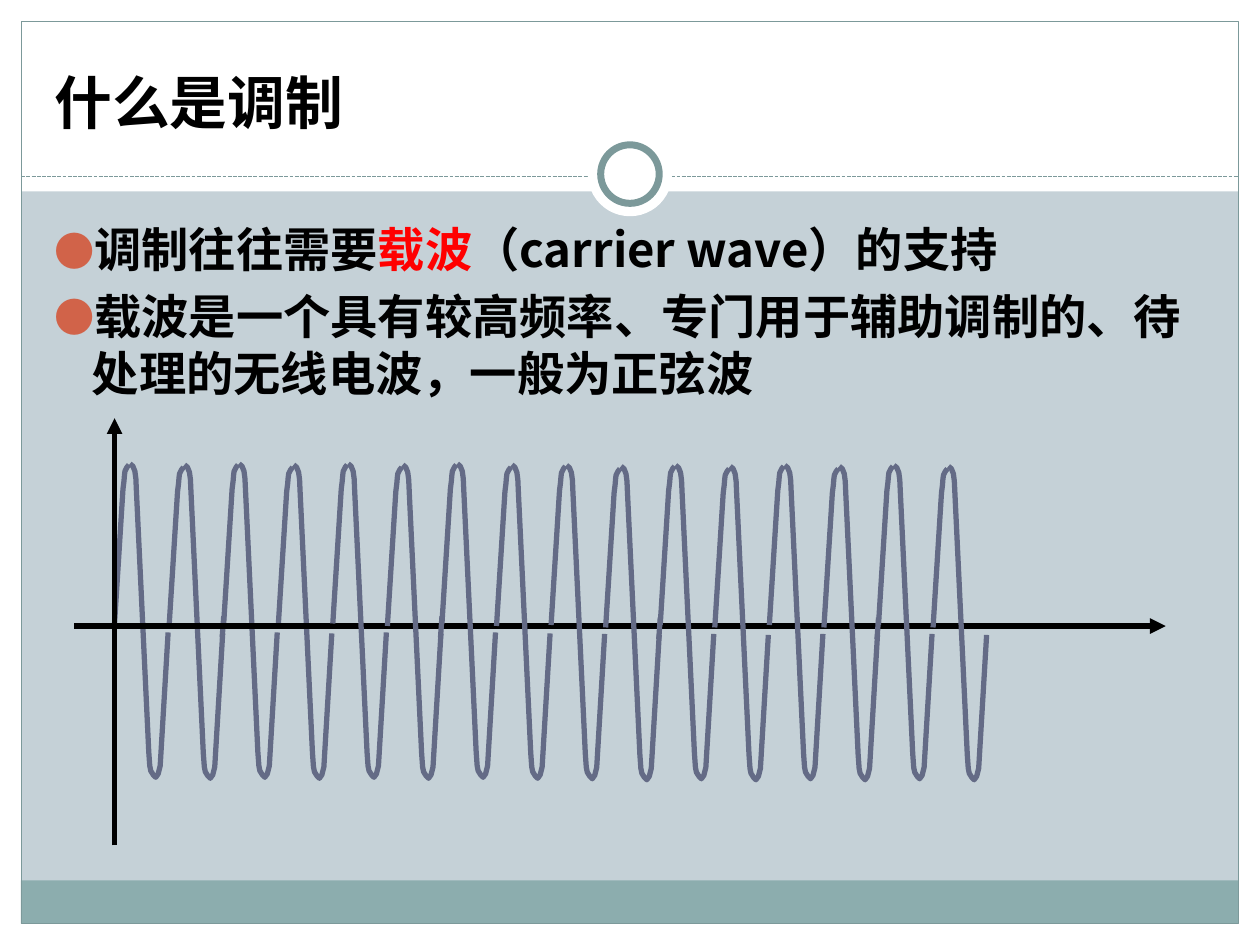
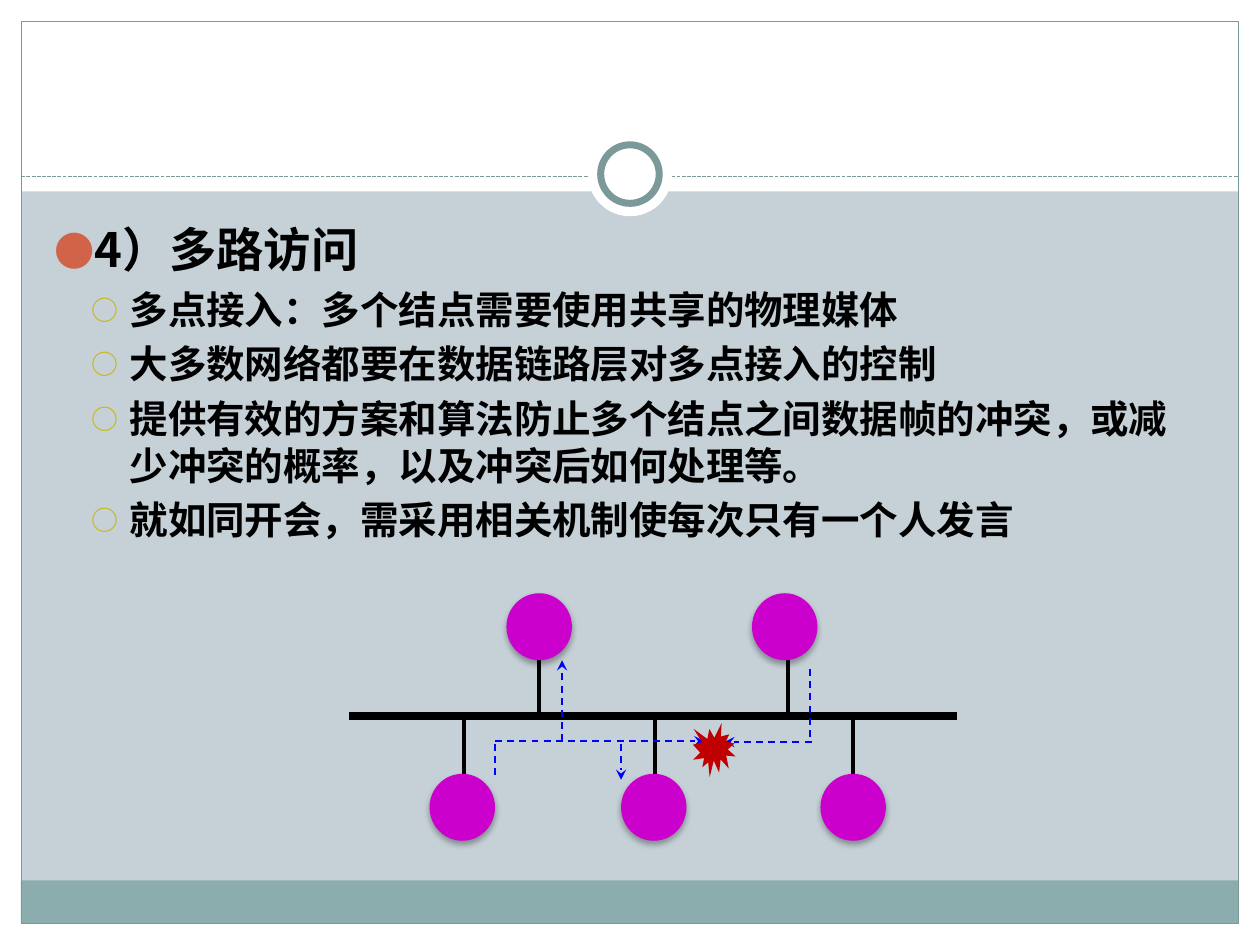
from lxml.etree import SubElement
from pptx import Presentation
from pptx.dml.color import RGBColor
from pptx.enum.dml import MSO_LINE
from pptx.enum.shapes import MSO_CONNECTOR, MSO_SHAPE
from pptx.enum.text import MSO_ANCHOR, MSO_AUTO_SIZE, PP_ALIGN
from pptx.oxml.ns import qn
from pptx.util import Cm, Pt

FONT = "Noto Sans CJK SC"
BLACK = RGBColor(0x00, 0x00, 0x00)
WHITE = RGBColor(0xFF, 0xFF, 0xFF)
RED = RGBColor(0xFF, 0x00, 0x00)
BLUE = RGBColor(0x00, 0x00, 0xFF)
BACKGROUND = RGBColor(0xC5, 0xD1, 0xD7)
TEAL = RGBColor(0x8C, 0xAD, 0xAE)
DARK_TEAL = RGBColor(0x7C, 0x99, 0x9A)
WAVE = RGBColor(0x64, 0x6B, 0x86)
NODE = RGBColor(0xCC, 0x00, 0xCC)
CRASH = RGBColor(0xC0, 0x00, 0x00)

# Per list level: size, line height, space before, indent, bullet, its colour and percent
LEVELS = [
    (27, 32.6, 5.4, 0.76, "●", "D16349", 85),
    (22, 26.8, 4.4, 1.52, "○", "CCB400", 70),
]

# One carrier period: rising and falling stroke, in cm from the period's start
RISE = [(0, 12.57), (0.17, 9.86), (0.19, 9.7), (0.2, 9.58), (0.21, 9.5),
        (0.25, 9.42), (0.29, 9.37)]
FALL = [(0.31, 9.35), (0.37, 9.4), (0.41, 9.5), (0.43, 9.65), (0.44, 9.88),
        (0.69, 15.16), (0.71, 15.44), (0.73, 15.54), (0.78, 15.62),
        (0.83, 15.67), (0.88, 15.6), (0.92, 15.44), (1.08, 12.75)]
WAVE_LEFT, PERIOD = 2.31, 1.1


class Deck:
    def __init__(self):
        self.prs = Presentation()
        self.prs.slide_width, self.prs.slide_height = Cm(25.4), Cm(19.05)
        self.layout = self.prs.slide_layouts[1]
        self.s = None

    def new_slide(self):
        self.s = self.prs.slides.add_slide(self.layout)

    # Shapes and lines
    def shape(self, kind, x, y, w, h, fill=None, line=None, width=0.75):
        sp = self.s.shapes.add_shape(kind, Cm(x), Cm(y), Cm(w), Cm(h))
        return self.paint(sp, fill, line, width)

    def paint(self, sp, fill, line, width):
        sp.shadow.inherit = False
        if fill is None:
            sp.fill.background()
        else:
            sp.fill.solid()
            sp.fill.fore_color.rgb = fill
        if line is None:
            sp.line.fill.background()
        else:
            sp.line.color.rgb = line
            sp.line.width = Pt(width)
        return sp

    def line(self, x1, y1, x2, y2, color, width, dash=None, arrow=None):
        c = self.s.shapes.add_connector(
            MSO_CONNECTOR.STRAIGHT, Cm(x1), Cm(y1), Cm(x2), Cm(y2))
        c.line.color.rgb = color
        c.line.width = Pt(width)
        if dash:
            c.line.dash_style = dash
        if arrow:
            SubElement(c.line._get_or_add_ln(), qn("a:tailEnd"), type=arrow)
        SubElement(c._element.spPr, qn("a:effectLst"))
        return c

    def curve(self, points, dx, dy):
        pts = [(Cm(x + dx), Cm(y + dy)) for x, y in points]
        fb = self.s.shapes.build_freeform(*pts[0])
        fb.add_line_segments(pts[1:], close=False)
        self.paint(fb.convert_to_shape(), None, WAVE, 3)

    def node(self, x, y):
        sp = self.shape(MSO_SHAPE.OVAL, x, y, 1.32, 1.35, NODE)
        shadow = SubElement(
            sp._element.spPr.find(qn("a:effectLst")), qn("a:outerShdw"),
            blurRad=str(Pt(3.5)), dist=str(Pt(2.2)), dir="5400000",
            algn="ctr", rotWithShape="0")
        clr = SubElement(shadow, qn("a:srgbClr"), val="000000")
        SubElement(clr, qn("a:alpha"), val="32000")

    # Text
    def place(self, sp, x, y, w, h):
        sp.left, sp.top, sp.width, sp.height = Cm(x), Cm(y), Cm(w), Cm(h)
        tf = sp.text_frame
        tf.word_wrap = True
        tf.auto_size = MSO_AUTO_SIZE.NONE
        return tf

    def format_run(self, r, size, color=BLACK):
        r.font.size, r.font.bold, r.font.name = Pt(size), True, FONT
        r.font.color.rgb = color
        SubElement(r._r.get_or_add_rPr(), qn("a:ea"), typeface=FONT)

    def title(self, text=None):
        sp = self.s.shapes.title
        if text is None:
            sp._element.getparent().remove(sp._element)
            return
        tf = self.place(sp, 0.84, 0.64, 23.7, 2.11)
        tf.vertical_anchor = MSO_ANCHOR.BOTTOM
        tf.margin_bottom = 0
        tf.text = text
        p = tf.paragraphs[0]
        p.alignment = PP_ALIGN.LEFT
        self.format_run(p.runs[0], 33)

    def body(self, items):
        """Each item is a level and its runs as (text, colour)."""
        tf = self.place(self.s.placeholders[1], 0.84, 4.24, 23.62, 12.7)
        tf.margin_top = Cm(0.2)
        for i, (level, runs) in enumerate(items):
            p = tf.add_paragraph() if i else tf.paragraphs[0]
            size, height, before, indent, char, color, percent = LEVELS[level]
            p.level = level
            p.line_spacing = Pt(height)
            p.space_before = Pt(before if i else 0)
            pPr = p._p.get_or_add_pPr()
            pPr.set("marL", str(Cm(indent)))
            pPr.set("indent", str(Cm(-0.76)))
            clr = SubElement(pPr, qn("a:buClr"))
            SubElement(clr, qn("a:srgbClr"), val=color)
            SubElement(pPr, qn("a:buSzPct"), val=str(percent * 1000))
            SubElement(pPr, qn("a:buFont"), typeface=FONT)
            SubElement(pPr, qn("a:buChar"), char=char)
            for text, run_color in runs:
                r = p.add_run()
                r.text = text
                self.format_run(r, size, run_color)

    # Background, bands and ring, kept on the layout
    def frame(self):
        fill = self.prs.slide_master.background.fill
        fill.solid()
        fill.fore_color.rgb = BACKGROUND
        rect, oval = MSO_SHAPE.RECTANGLE, MSO_SHAPE.OVAL
        parts = [
            self.shape(rect, 0, 18.62, 25.4, 0.43, WHITE),
            self.shape(rect, 0, 0, 25.4, 3.86, WHITE),
            self.shape(rect, 0, 0, 0.43, 19.05, WHITE),
            self.shape(rect, 24.97, 0, 0.43, 19.05, WHITE),
            self.shape(rect, 0.42, 17.75, 24.54, 0.87, TEAL),
            self.shape(rect, 0.43, 0.43, 24.54, 18.19, None, DARK_TEAL),
            self.line(0.43, 3.56, 24.97, 3.56, DARK_TEAL, 0.75,
                      MSO_LINE.SQUARE_DOT),
            self.shape(oval, 11.85, 2.66, 1.7, 1.7, WHITE),
            self.shape(oval, 12.11, 2.92, 1.18, 1.18, WHITE, DARK_TEAL, 4),
        ]
        for part in parts:
            self.layout.shapes._spTree.append(part._element)


def modulation_slide(deck):
    deck.title("什么是调制")
    deck.body([
        (0, [("调制往往需要", BLACK), ("载波", RED),
             ("（carrier wave）的支持", BLACK)]),
        (0, [("载波是一个具有较高频率、专门用于辅助调制的、待处理的无线电波，"
              "一般为正弦波", BLACK)]),
    ])
    # Carrier wave: four groups of four periods, axes after the first group
    for n in range(16):
        x = WAVE_LEFT + n * PERIOD
        drop = 0.03 if n >= 8 else 0
        odd = n % 2
        deck.curve(RISE, x, drop + 0.05 * odd)
        deck.curve(FALL, x, drop + 0.02 * odd)
        if n % 4 == 2:
            deck.line(x - 0.03, 12.85 + drop, x, 12.42 + drop, WAVE, 3)
        if n == 3:
            deck.line(2.31, 17.04, 2.31, 8.43, BLACK, 3, arrow="triangle")
            deck.line(1.5, 12.62, 23.5, 12.62, BLACK, 3, arrow="triangle")


def multiple_access_slide(deck):
    deck.title()
    points = [
        "多点接入：多个结点需要使用共享的物理媒体",
        "大多数网络都要在数据链路层对多点接入的控制",
        "提供有效的方案和算法防止多个结点之间数据帧的冲突，或减少冲突的概率，"
        "以及冲突后如何处理等。",
        "就如同开会，需采用相关机制使每次只有一个人发言",
    ]
    deck.body([(0, [("4）多路访问", BLACK)])]
              + [(1, [(text, BLACK)]) for text in points])

    # Bus, stems and nodes
    deck.line(7.04, 14.43, 19.3, 14.43, BLACK, 4.5)
    upper = [(10.21, 10.87), (15.16, 15.88)]
    lower = [(8.66, 9.35), (12.52, 13.21), (16.54, 17.2)]
    for _, x in upper:
        deck.line(x, 13.11, x, 14.48, BLACK, 2.25)
    for _, x in lower:
        deck.line(x, 14.48, x, 15.82, BLACK, 2.25)
    for left, _ in upper:
        deck.node(left, 11.96)
    for left, _ in lower:
        deck.node(left, 15.6)

    # Signals and their collision
    signals = [
        (16.36, 14.96, 14.6, 14.96, "stealth"),
        (16.33, 13.49, 16.33, 14.96, None),
        (9.98, 14.94, 14.2, 14.94, "stealth"),
        (11.33, 14.94, 11.33, 13.31, "stealth"),
        (12.52, 14.99, 12.52, 15.72, "stealth"),
        (9.98, 14.99, 9.98, 15.72, None),
    ]
    for x1, y1, x2, y2, arrow in signals:
        deck.line(x1, y1, x2, y2, BLUE, 1, MSO_LINE.DASH, arrow)
    deck.shape(MSO_SHAPE.EXPLOSION1, 13.97, 14.58, 0.86, 1.09, CRASH)


def main():
    deck = Deck()
    deck.new_slide()
    deck.frame()
    modulation_slide(deck)
    deck.new_slide()
    multiple_access_slide(deck)
    deck.prs.save("out.pptx")


if __name__ == "__main__":
    main()
